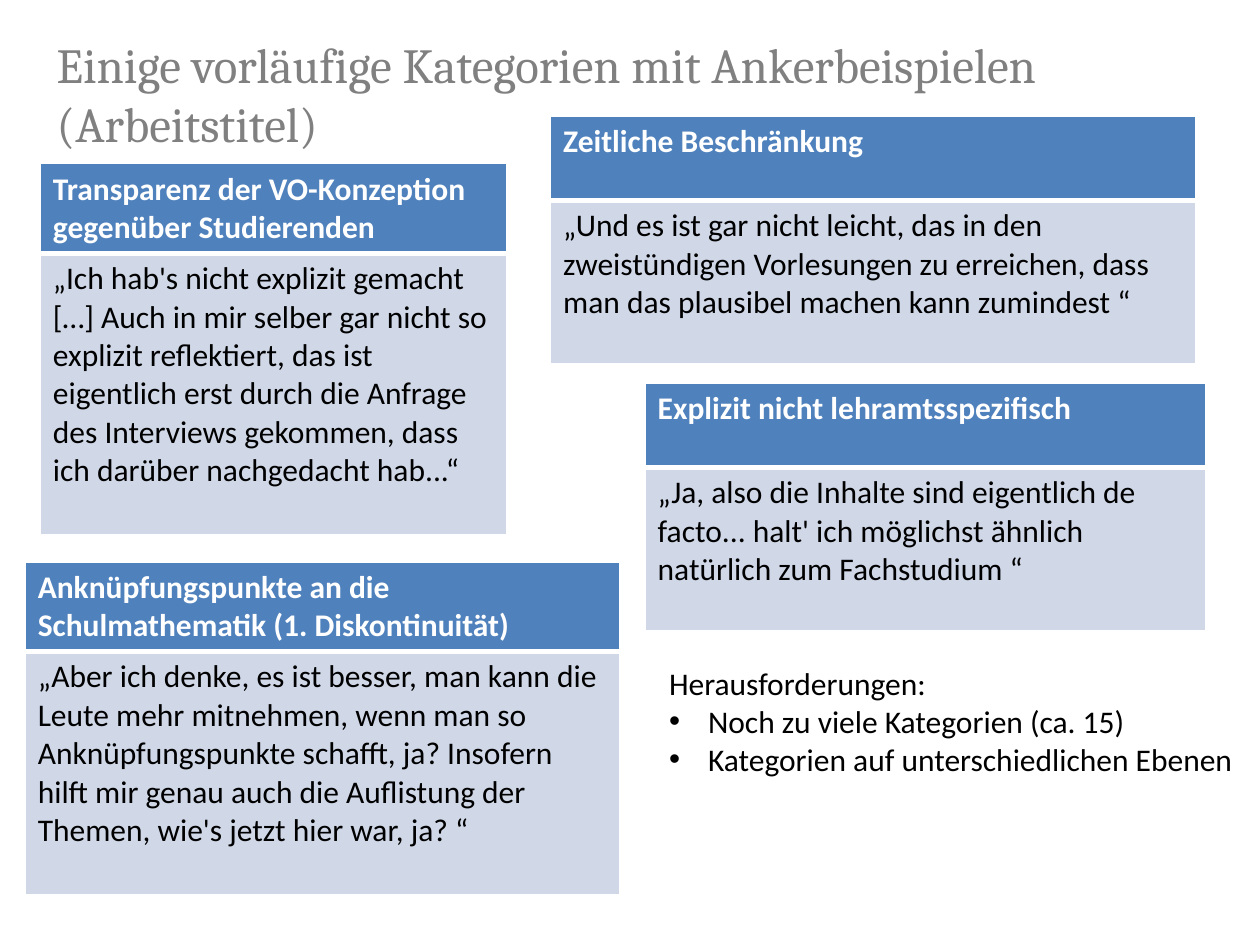
import dataclasses

import lxml.etree
import pptx
import pptx.dml.color
import pptx.enum.text
import pptx.oxml.ns
import pptx.util

COLORS = {
    "title": "808080",
    "header": "4F81BD",
    "body": "D0D8E8",
    "white": "FFFFFF",
    "black": "000000",
}
WIDTH = pptx.util.Inches(10)
HEIGHT = pptx.util.Inches(7.5)
HEADER_ROW = 8.93  # percent of the slide height
INDENT = pptx.util.Inches(0.31)


@dataclasses.dataclass
class Area:
    """Position and size in percent of the slide."""
    left: float
    top: float
    width: float
    height: float

    def lengths(self) -> tuple:
        return (across(self.left), down(self.top),
                across(self.width), down(self.height))


@dataclasses.dataclass
class Category:
    area: Area
    name: str
    quote: str


CATEGORIES = [
    Category(Area(3.2, 17.33, 37, 38.67),
             "Transparenz der VO-Konzeption gegenüber Studierenden",
             "„Ich hab's nicht explizit gemacht […] Auch in mir selber gar nicht so "
             "explizit reflektiert, das ist eigentlich erst durch die Anfrage des "
             "Interviews gekommen, dass ich darüber nachgedacht hab...“"),
    Category(Area(43.7, 12.27, 51.2, 26.27),
             "Zeitliche Beschränkung",
             "„Und es ist gar nicht leicht, das in den zweistündigen Vorlesungen zu "
             "erreichen, dass man das plausibel machen kann zumindest “"),
    Category(Area(2, 59.47, 47.2, 34.67),
             "Anknüpfungspunkte an die Schulmathematik (1. Diskontinuität)",
             "„Aber ich denke, es ist besser, man kann die Leute mehr mitnehmen, wenn "
             "man so Anknüpfungspunkte schafft, ja? Insofern hilft mir genau auch die "
             "Auflistung der Themen, wie's jetzt hier war, ja? “"),
    Category(Area(51.2, 40.53, 44.5, 26.27),
             "Explizit nicht lehramtsspezifisch",
             "„Ja, also die Inhalte sind eigentlich de facto... halt' ich möglichst "
             "ähnlich natürlich zum Fachstudium “"),
]
CHALLENGES = ["Noch zu viele Kategorien (ca. 15)",
              "Kategorien auf unterschiedlichen Ebenen"]


def across(percent: float) -> int:
    return round(WIDTH * percent / 100)


def down(percent: float) -> int:
    return round(HEIGHT * percent / 100)


def rgb(name: str) -> pptx.dml.color.RGBColor:
    return pptx.dml.color.RGBColor.from_string(COLORS[name])


def write(para, text: str, *, size: float = 18, font: str = "Calibri",
          color: str = "black", bold: bool = False) -> None:
    para.alignment = pptx.enum.text.PP_ALIGN.LEFT
    para.space_before = pptx.util.Pt(0)
    span = para.add_run()
    span.text = text
    span.font.size = pptx.util.Pt(size)
    span.font.name = font
    span.font.bold = bold
    span.font.color.rgb = rgb(color)


def set_bullet(para, symbol: str = "") -> None:
    """Give the paragraph a hanging bullet, or none without a symbol."""
    props = para._p.get_or_add_pPr()
    props.set("marL", str(INDENT if symbol else 0))
    props.set("indent", str(-INDENT if symbol else 0))
    if symbol:
        qn = pptx.oxml.ns.qn
        lxml.etree.SubElement(props, qn("a:buFont"), typeface="Arial")
        lxml.etree.SubElement(props, qn("a:buChar"), char=symbol)
    else:
        lxml.etree.SubElement(props, pptx.oxml.ns.qn("a:buNone"))


def set_borders(cell, bottom: float) -> None:
    """Draw white cell borders; widths in points."""
    qn = pptx.oxml.ns.qn
    props = cell._tc.get_or_add_tcPr()
    widths = {"lnL": 1, "lnR": 1, "lnT": 1, "lnB": bottom}
    for index, (side, width) in enumerate(widths.items()):
        line = lxml.etree.Element(qn("a:" + side), w=str(pptx.util.Pt(width)))
        fill = lxml.etree.SubElement(line, qn("a:solidFill"))
        lxml.etree.SubElement(fill, qn("a:srgbClr"), val=COLORS["white"])
        props.insert(index, line)


def add_category(page, category: Category) -> None:
    table = page.shapes.add_table(2, 1, *category.area.lengths()).table
    table.horz_banding = False
    table.rows[0].height = down(HEADER_ROW)
    table.rows[1].height = down(category.area.height - HEADER_ROW)
    header, body = table.cell(0, 0), table.cell(1, 0)
    for cell, fill, bottom in ((header, "header", 3), (body, "body", 1)):
        cell.fill.solid()
        cell.fill.fore_color.rgb = rgb(fill)
        set_borders(cell, bottom)
    # Both cells share the thick line between them
    body._tc.tcPr.find(pptx.oxml.ns.qn("a:lnT")).set("w", str(pptx.util.Pt(3)))
    write(header.text_frame.paragraphs[0], category.name, color="white", bold=True)
    write(body.text_frame.paragraphs[0], category.quote)


def place(box, area: Area, anchor):
    """Move a placeholder and return its prepared text frame."""
    box.left, box.top, box.width, box.height = area.lengths()
    frame = box.text_frame
    frame.word_wrap = True
    frame.auto_size = pptx.enum.text.MSO_AUTO_SIZE.NONE
    frame.vertical_anchor = anchor
    return frame


def main() -> None:
    deck = pptx.Presentation()
    deck.slide_width, deck.slide_height = WIDTH, HEIGHT
    page = deck.slides.add_slide(deck.slide_layouts[1])
    anchors = pptx.enum.text.MSO_ANCHOR

    # Title
    frame = place(page.shapes.title, Area(3.5, 2.8, 95.3, 14.13), anchors.MIDDLE)
    write(frame.paragraphs[0],
          "Einige vorläufige Kategorien mit Ankerbeispielen (Arbeitstitel)",
          size=28, font="Cambria", color="title")

    # Categories with their anchor quotes
    for category in CATEGORIES:
        add_category(page, category)

    # Challenges
    frame = place(page.placeholders[1], Area(52.1, 69.6, 46.7, 17.47), anchors.TOP)
    frame.margin_right = 0
    write(frame.paragraphs[0], "Herausforderungen:")
    set_bullet(frame.paragraphs[0])
    for challenge in CHALLENGES:
        para = frame.add_paragraph()
        write(para, challenge)
        set_bullet(para, "•")

    deck.save("out.pptx")


if __name__ == "__main__":
    main()
